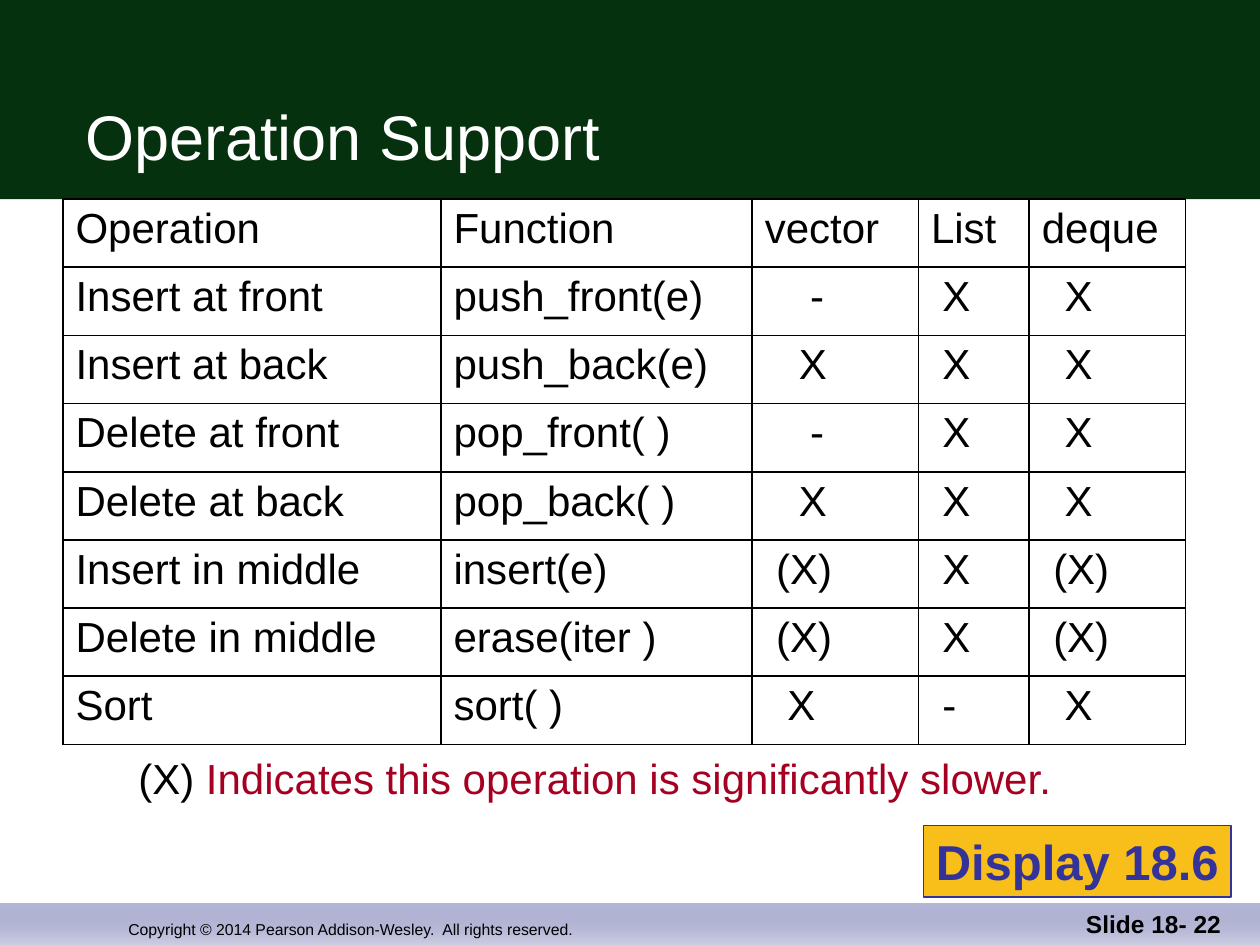
from dataclasses import dataclass
from lxml.etree import SubElement as Sub
from pptx import Presentation
from pptx.dml.color import RGBColor as Rgb
from pptx.enum.shapes import MSO_SHAPE as Shape
from pptx.enum.text import MSO_ANCHOR as Anchor, PP_ALIGN as Align
from pptx.oxml.ns import qn
from pptx.util import Inches, Pt


@dataclass(frozen=True)
class Theme:
    font: str = "Arial"
    black: str = "000000"
    white: str = "FFFFFF"
    green: str = "05310F"
    red: str = "A50021"
    gold: str = "F8BE1A"
    blue: str = "333399"
    dusk: str = "6669AA"
    mist: str = "CCCDE3"
    title: int = 36
    badge: int = 28
    body: int = 24
    page: int = 14
    small: int = 9
    rule: float = 1.08
    thin: float = 0.75


T = Theme()
SPACE = 0.09  # width of one blank in body type
COLS = [3, 2.47, 1.32, 0.88, 1.24]
HEAD = ["Operation", "Function", "vector", "List", "deque"]
# Each mark is paired with its indent, counted in blanks.
DASH, FAR, MID, NEAR = ("-", 4), ("X", 3), ("X", 2), ("X", 1)
SLOW = ("(X)", 1)
ROWS = [
    ["Insert at front", "push_front(e)", DASH, NEAR, MID],
    ["Insert at back", "push_back(e)", FAR, NEAR, MID],
    ["Delete at front", "pop_front( )", DASH, NEAR, MID],
    ["Delete at back", "pop_back( )", FAR, NEAR, MID],
    ["Insert in middle", "insert(e)", SLOW, NEAR, SLOW],
    ["Delete in middle", "erase(iter )", SLOW, NEAR, SLOW],
    ["Sort", "sort( )", MID, ("-", 1), MID],
]


def write(para, text, size, color, bold=False):
    run = para.add_run()
    run.text = text
    look = {"name": T.font, "size": Pt(size), "bold": bold}
    for key, val in look.items():
        setattr(run.font, key, val)
    run.font.color.rgb = Rgb.from_string(color)


def label(slide, box, runs, size, bold=False, **form):
    """Add a text box; runs are (text, colour) pairs."""
    frame = slide.shapes.add_textbox(*map(Inches, box)).text_frame
    para = frame.paragraphs[0]
    para.alignment = form.pop("align", Align.LEFT)
    for key, val in ({"word_wrap": True} | form).items():
        setattr(frame, key, val)
    for text, color in runs:
        write(para, text, size, color, bold)


def block(slide, box):
    """Add a plain rectangle without line or shadow."""
    rect = slide.shapes.add_shape(Shape.RECTANGLE, *map(Inches, box))
    rect.shadow.inherit = False
    rect.line.fill.background()
    return rect


def paint(rect, color):
    rect.fill.solid()
    rect.fill.fore_color.rgb = Rgb.from_string(color)


def header(slide, box):
    x, y, _, h = box
    paint(block(slide, box), T.green)
    label(slide, (x + 0.58, y + 0.33, 9.08, h - 0.49),
          [("Operation Support", T.white)], T.title,
          vertical_anchor=Anchor.BOTTOM)


def footer(slide, box):
    x, y, w, h = box
    bar = block(slide, box)
    bar.fill.gradient()
    bar.fill.gradient_angle = 270
    for stop, color in zip(bar.fill.gradient_stops, (T.dusk, T.mist)):
        stop.color.rgb = Rgb.from_string(color)
    Sub(bar.element.xpath(".//a:gs/a:srgbClr")[0], qn("a:alpha"), val="47000")
    top = y + h - 0.5
    label(slide, (x + 0.92, top, 4.92, 0.5),
          [("Copyright © 2014 Pearson Addison-Wesley.  All rights reserved.",
            T.black)], T.small, vertical_anchor=Anchor.BOTTOM)
    label(slide, (x + w - 2.29, top, 2.08, 0.5),
          [("Slide 18- 22", T.black)], T.page, bold=True,
          align=Align.RIGHT, vertical_anchor=Anchor.BOTTOM)


def edge(cell):
    """Draw a black rule on all four sides of a cell."""
    props = cell._tc.get_or_add_tcPr()
    for side in ("lnL", "lnR", "lnT", "lnB"):
        line = Sub(props, qn("a:" + side), w=str(int(Pt(T.rule))))
        Sub(Sub(line, qn("a:solidFill")), qn("a:srgbClr"), val=T.black)


def matrix(slide, box):
    data = [HEAD] + ROWS
    grid = slide.shapes.add_table(
        len(data), len(COLS), *map(Inches, box)).table
    grid.first_row = grid.horz_banding = False
    for col, width in zip(grid.columns, COLS):
        col.width = Inches(width)
    for row, items in zip(grid.rows, data):
        row.height = Inches(box[3] / len(data))
        for cell, item in zip(row.cells, items):
            text, gap = item if isinstance(item, tuple) else (item, 0)
            edge(cell)
            cell.fill.background()
            para = cell.text_frame.paragraphs[0]
            if gap:
                props = para._p.get_or_add_pPr()
                props.set("marL", str(Inches(gap * SPACE)))
                props.set("indent", "0")
            write(para, text, T.body, T.black)


def badge(slide, box):
    rect = block(slide, box)
    paint(rect, T.gold)
    rect.line.color.rgb = Rgb.from_string(T.blue)
    rect.line.width = Pt(T.thin)
    frame = rect.text_frame
    frame.word_wrap = False
    frame.vertical_anchor = Anchor.MIDDLE
    para = frame.paragraphs[0]
    para.alignment = Align.CENTER
    write(para, "Display 18.6", T.badge, T.blue, bold=True)


def main():
    deck = Presentation()
    deck.slide_width, deck.slide_height = Inches(10), Inches(7.5)
    slide = deck.slides.add_slide(deck.slide_layouts[6])
    footer(slide, (0, 7.17, 10, 0.33))
    header(slide, (0, 0, 10, 1.58))
    matrix(slide, (0.5, 1.58, sum(COLS), 4.33))
    label(slide, (1, 5.92, 7.46, 0.5),
          [("(X)", T.black),
           (" Indicates this operation is significantly slower.", T.red)],
          T.body, word_wrap=False)
    badge(slide, (7.33, 6.55, 2.44, 0.57))
    deck.save("out.pptx")


if __name__ == "__main__":
    main()
